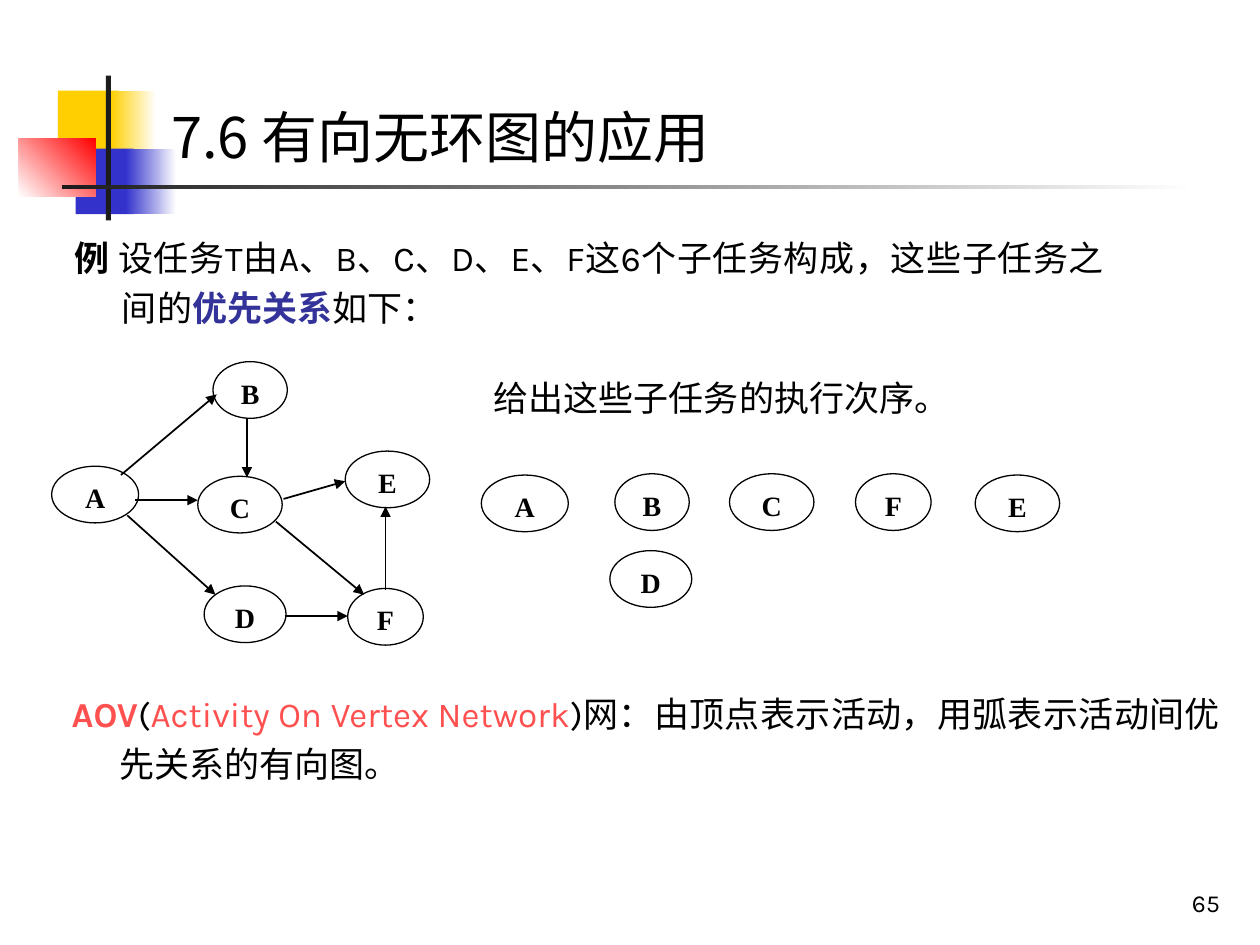
from dataclasses import dataclass

from lxml import etree
from pptx import Presentation
from pptx.dml.color import RGBColor
from pptx.enum.shapes import MSO_CONNECTOR, MSO_SHAPE
from pptx.enum.text import MSO_ANCHOR, MSO_AUTO_SIZE, PP_ALIGN
from pptx.oxml.ns import qn
from pptx.util import Inches, Pt

RECTANGLE, OVAL = MSO_SHAPE.RECTANGLE, MSO_SHAPE.OVAL
STRAIGHT = MSO_CONNECTOR.STRAIGHT
TOP, MIDDLE, BOTTOM = MSO_ANCHOR.TOP, MSO_ANCHOR.MIDDLE, MSO_ANCHOR.BOTTOM
LEFT, CENTER, RIGHT, JUSTIFY = PP_ALIGN.LEFT, PP_ALIGN.CENTER, PP_ALIGN.RIGHT, PP_ALIGN.JUSTIFY
NO_AUTOFIT = MSO_AUTO_SIZE.NONE
TITLE_ONLY = 5

# The slide is a grid of 100 columns by 75 rows of square cells.
COLUMNS, ROWS = 100, 75
CELL = Inches(0.1)


@dataclass(frozen=True)
class Theme:
    black: str = "000000"
    white: str = "FFFFFF"
    dark: str = "1C1C1C"
    yellow: str = "FFCF01"
    blue: str = "3333CC"
    red: str = "FF0000"
    emphasis: str = "333399"
    term: str = "FF5050"
    body_font: str = "Karla"
    title_font: str = "Noto Sans CJK JP"
    chinese_font: str = "Noto Sans CJK SC"
    vertex_font: str = "Times New Roman"
    title_size: int = 32
    body_size: int = 20
    vertex_size: int = 16
    number_size: int = 14


THEME = Theme()


@dataclass(frozen=True)
class Box:
    """An area in grid cells; inner areas are placed from its top left corner."""
    left: float
    top: float
    width: float
    height: float

    def inner(self, left, top, width, height):
        return Box(self.left + left, self.top + top, width, height)

    def point(self, left, top):
        return int((self.left + left) * CELL), int((self.top + top) * CELL)

    def lengths(self):
        return [int(length * CELL) for length in (self.left, self.top, self.width, self.height)]


VERTEX_WIDTHS = {"A": 6.9, "B": 5.9, "C": 6.7, "D": 6.5, "E": 6.7, "F": 6}
VERTEX_HEIGHT = 4.5


def color(value):
    return RGBColor.from_string(value)


def style_run(run, font, size, fill=THEME.black, bold=False, chinese_font=THEME.chinese_font):
    run.font.name, run.font.size, run.font.bold = font, Pt(size), bold
    run.font.color.rgb = color(fill)
    east_asian = etree.Element(qn("a:ea"), typeface=chinese_font)
    run.font._element.find(qn("a:latin")).addnext(east_asian)


def add_bar(slide, box, colors, angle=0):
    """Add a rectangle in one colour, or in a gradient between two."""
    bar = slide.shapes.add_shape(RECTANGLE, *box.lengths())
    bar.shadow.inherit = False
    bar.line.fill.background()
    if len(colors) == 1:
        bar.fill.solid()
        bar.fill.fore_color.rgb = color(colors[0])
        return
    bar.fill.gradient()
    bar.fill.gradient_angle = angle
    for stop, value, position in zip(bar.fill.gradient_stops, colors, (0, 1)):
        stop.color.rgb = color(value)
        stop.position = position


def add_decoration(slide, box):
    white = THEME.white
    add_bar(slide, box.inner(3.1, 1.2, 4.8, 5.2), [THEME.yellow])
    add_bar(slide, box.inner(7.3, 1.2, 3.6, 5.2), [THEME.yellow, white])
    add_bar(slide, box.inner(4.5, 5.8, 4.6, 5.2), [THEME.blue])
    add_bar(slide, box.inner(8.5, 5.8, 4, 5.2), [THEME.blue, white])
    add_bar(slide, box.inner(0, 5, 6.1, 4.6), [white, THEME.red], angle=45)
    add_bar(slide, box.inner(6.9, 0, 0.4, box.height), [THEME.dark])
    add_bar(slide, box.inner(3.4, 8.7, 90, 0.3), [THEME.dark, white])


def place_title(slide, box, text):
    title = slide.shapes.title
    title.left, title.top, title.width, title.height = box.lengths()
    frame = title.text_frame
    frame.text = text
    frame.auto_size, frame.vertical_anchor = NO_AUTOFIT, MIDDLE
    paragraph = frame.paragraphs[0]
    paragraph.alignment = LEFT
    style_run(paragraph.runs[0], THEME.title_font, THEME.title_size,
              chinese_font=THEME.title_font)
    slide.shapes._spTree.append(title._element)  # in front of the decoration


def add_text(slide, box, alignment, anchor=TOP):
    """Add a wrapping text box and return its only paragraph."""
    frame = slide.shapes.add_textbox(*box.lengths()).text_frame
    frame.word_wrap, frame.vertical_anchor = True, anchor
    paragraph = frame.paragraphs[0]
    paragraph.alignment = alignment
    return paragraph


def add_statement(slide, box, parts):
    """Add a hanging paragraph from (text, colour, bold) parts."""
    paragraph = add_text(slide, box, JUSTIFY)
    paragraph.line_spacing = 1.2
    properties = paragraph._p.get_or_add_pPr()
    hanging = Inches(0.38)
    properties.set("marL", str(hanging))
    properties.set("indent", str(-hanging))
    for text, fill, bold in parts:
        run = paragraph.add_run()
        run.text = text
        style_run(run, THEME.body_font, THEME.body_size, fill, bold)


def add_page_number(slide, box, number):
    paragraph = add_text(slide, box, RIGHT, BOTTOM)
    paragraph.text = str(number)
    style_run(paragraph.runs[0], THEME.body_font, THEME.number_size)


def add_vertex(slide, box, name, left, top):
    place = box.inner(left, top, VERTEX_WIDTHS[name], VERTEX_HEIGHT)
    vertex = slide.shapes.add_shape(OVAL, *place.lengths())
    vertex.shadow.inherit = False
    vertex.fill.background()
    vertex.line.color.rgb, vertex.line.width = color(THEME.black), Pt(0.75)
    frame = vertex.text_frame
    frame.text, frame.vertical_anchor = name, TOP
    paragraph = frame.paragraphs[0]
    paragraph.alignment = CENTER
    style_run(paragraph.runs[0], THEME.vertex_font, THEME.vertex_size, bold=True)


def add_arc(slide, box, start, end):
    arc = slide.shapes.add_connector(STRAIGHT, *box.point(*start), *box.point(*end))
    arc.line.color.rgb, arc.line.width = color(THEME.black), Pt(1)
    etree.SubElement(arc.line._get_or_add_ln(), qn("a:tailEnd"), type="triangle")
    etree.SubElement(arc._element.spPr, qn("a:effectLst"))


def add_graph(slide, box, vertices, arcs=()):
    for name, left, top in vertices:
        add_vertex(slide, box, name, left, top)
    for start, end in arcs:
        add_arc(slide, box, start, end)


def main():
    presentation = Presentation()
    presentation.slide_width, presentation.slide_height = COLUMNS * CELL, ROWS * CELL
    slide = presentation.slides.add_slide(presentation.slide_layouts[TITLE_ONLY])
    black = THEME.black

    add_decoration(slide, Box(1.5, 6, 93.4, 11.5))
    place_title(slide, Box(12.6, 7.6, 87.4, 6.4), "7.6 有向无环图的应用")
    add_page_number(slide, Box(77, 68.3, 20.8, 5), 65)
    add_statement(slide, Box(4.9, 17.6, 83.7, 9.8), [
        ("例", black, True),
        (" 设任务T由A、B、C、D、E、F这6个子任务构成，这些子任务之间的", black, False),
        ("优先关系", THEME.emphasis, True), ("如下：", black, False)])
    add_graph(
        slide, Box(4.1, 28.7, 30, 22.5),
        [("E", 23.3, 7.1), ("F", 23.5, 18), ("C", 11.6, 9.1),
         ("D", 12.1, 17.8), ("A", 0, 8.3), ("B", 12.8, 0)],
        [((5.5, 9), (13.1, 2.6)), ((6.6, 11), (11.6, 11)), ((6, 12.2), (13, 18.5)),
         ((18.4, 10.9), (23.3, 9.5)), ((18.5, 20.2), (23.5, 20.2)),
         ((17.8, 12.7), (24.8, 18.5)), ((15.5, 4.5), (15.5, 9.2)),
         ((26.5, 18.1), (26.5, 11.5))])
    add_statement(slide, Box(38.2, 28.7, 57.7, 5.3),
                  [("给出这些子任务的执行次序。", black, False)])
    add_graph(slide, Box(38.2, 37.6, 45.9, 10.6),
              [("E", 39.2, 0.1), ("F", 29.7, 0), ("C", 19.7, 0),
               ("A", 0, 0.1), ("D", 10.2, 6.1), ("B", 10.6, 0)])
    add_statement(slide, Box(4.7, 53.8, 93.1, 14.3), [
        ("AOV", THEME.term, True), ("(", black, False),
        ("Activity On Vertex Network", THEME.term, False),
        (")网：由顶点表示活动，用弧表示活动间优先关系的有向图。", black, False)])
    presentation.save("out.pptx")


if __name__ == "__main__":
    main()
